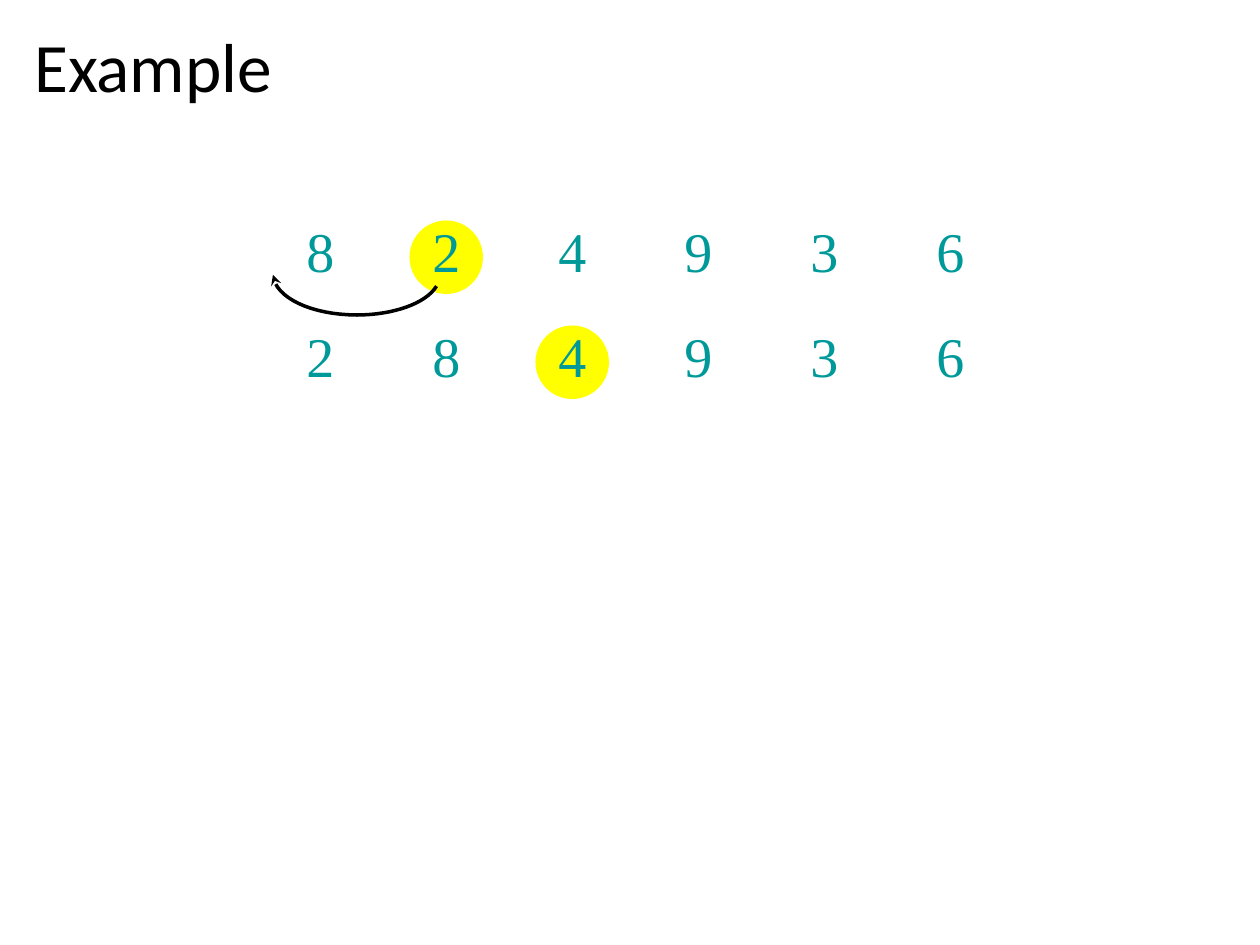
import pptx
import pptx.dml.color
import pptx.enum.shapes
import pptx.enum.text
import pptx.oxml
import pptx.oxml.ns
import pptx.util

Pt = pptx.util.Pt
ALIGN = pptx.enum.text.PP_ALIGN
ANCHOR = pptx.enum.text.MSO_ANCHOR

TITLE = "Example"
# Each sorting step: the sequence and the index of the highlighted number
STEPS = [
    ([8, 2, 4, 9, 3, 6], 1),
    ([2, 8, 4, 9, 3, 6], 2),
]
# Two joined Bezier curves, from the highlighted number to its new place
ARROW_START = (249.5, 163.5)
ARROW_CURVES = [
    [(243.5, 173.5), (224.5, 180), (204, 180)],
    [(178, 180), (157, 170), (156, 157)],
]
CURVE_STEPS = 16

FIRST_CENTER, COLUMN_PITCH = 183, 72
FIRST_TOP, ROW_PITCH = 120, 60
NUMBER_WIDTH, NUMBER_HEIGHT = 30, 45
MARK_SIZE, MARK_DROP = 42, 6


def rgb(value):
    return pptx.dml.color.RGBColor.from_string(value)


def add_text(slide, text, box, size, font, color, align=ALIGN.LEFT,
             anchor=ANCHOR.TOP, wrap=False):
    frame = slide.shapes.add_textbox(*map(Pt, box)).text_frame
    frame.text = text
    frame.word_wrap = wrap
    frame.vertical_anchor = anchor
    paragraph = frame.paragraphs[0]
    paragraph.alignment = align
    run_font = paragraph.runs[0].font
    run_font.size, run_font.name = Pt(size), font
    run_font.color.rgb = rgb(color)
    return paragraph


def add_step(slide, row, numbers, marked):
    top = FIRST_TOP + row * ROW_PITCH
    centers = [FIRST_CENTER + i * COLUMN_PITCH for i in range(len(numbers))]
    mark = slide.shapes.add_shape(
        pptx.enum.shapes.MSO_SHAPE.OVAL,
        Pt(centers[marked] - MARK_SIZE / 2), Pt(top + MARK_DROP),
        Pt(MARK_SIZE), Pt(MARK_SIZE))
    mark.shadow.inherit = False
    mark.fill.solid()
    mark.fill.fore_color.rgb = rgb("FFFF00")
    mark.line.fill.background()
    for number, center in zip(numbers, centers):
        box = (center - NUMBER_WIDTH / 2, top, NUMBER_WIDTH, NUMBER_HEIGHT)
        add_text(slide, str(number), box, 32, "Times New Roman", "009999",
                 align=ALIGN.CENTER)


def bezier_point(controls, t):
    weights = ((1 - t) ** 3, 3 * t * (1 - t) ** 2, 3 * t * t * (1 - t), t ** 3)
    return tuple(Pt(sum(w * v for w, v in zip(weights, axis)))
                 for axis in zip(*controls))


def add_move_arrow(slide):
    start = ARROW_START
    points = []
    for curve in ARROW_CURVES:
        points += [bezier_point([start, *curve], i / CURVE_STEPS)
                   for i in range(1, CURVE_STEPS + 1)]
        start = curve[-1]
    builder = slide.shapes.build_freeform(*map(Pt, ARROW_START))
    builder.add_line_segments(points, close=False)
    arrow = builder.convert_to_shape()
    arrow.shadow.inherit = False
    arrow.fill.background()
    arrow.line.color.rgb = rgb("000000")
    arrow.line.width = Pt(2)
    arrow.line._get_or_add_ln().append(pptx.oxml.parse_xml(
        f'<a:tailEnd {pptx.oxml.ns.nsdecls("a")} type="stealth"/>'))


def main():
    deck = pptx.Presentation()
    deck.slide_width, deck.slide_height = Pt(720), Pt(540)
    slide = deck.slides.add_slide(deck.slide_layouts[6])
    title = add_text(slide, TITLE, (12.5, 13, 692.5, 53.5), 39.6, "Calibri",
                     "000000", anchor=ANCHOR.MIDDLE, wrap=True)
    title.line_spacing = 0.9
    for row, (numbers, marked) in enumerate(STEPS):
        add_step(slide, row, numbers, marked)
    add_move_arrow(slide)
    deck.save("out.pptx")


if __name__ == "__main__":
    main()
